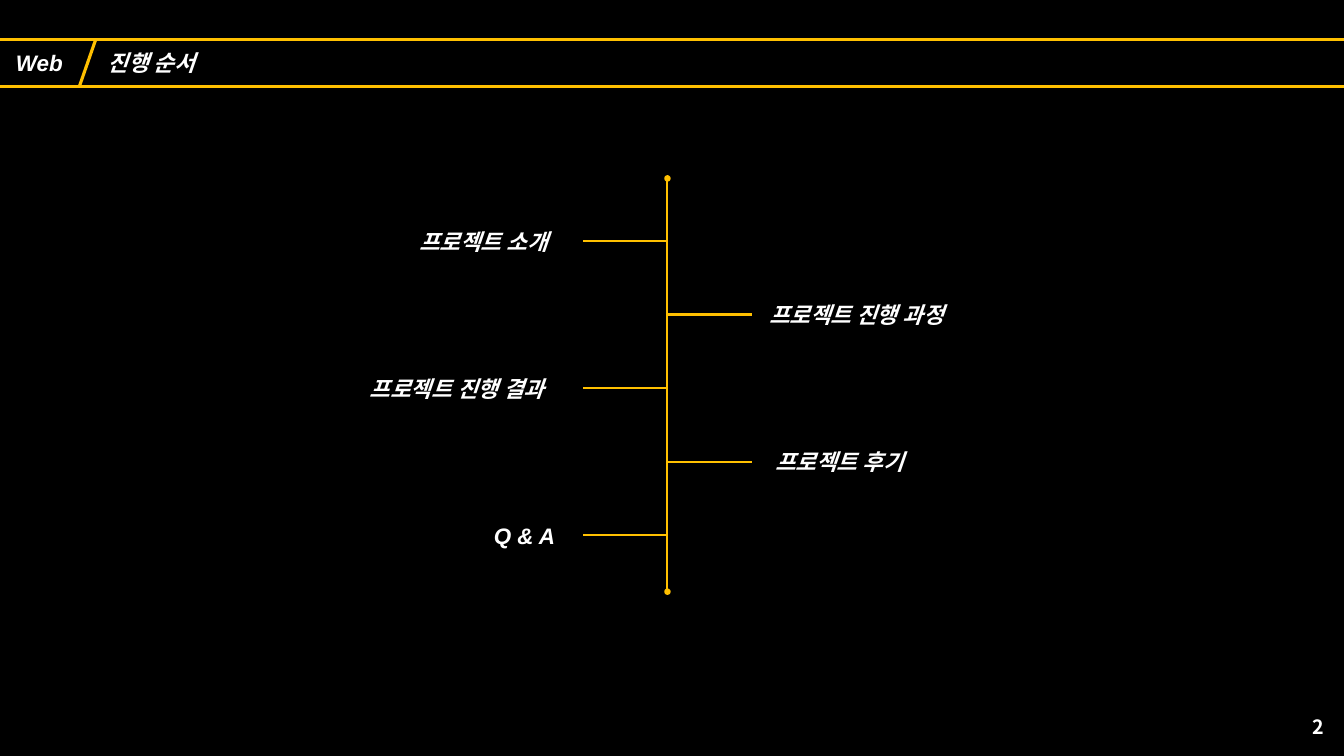
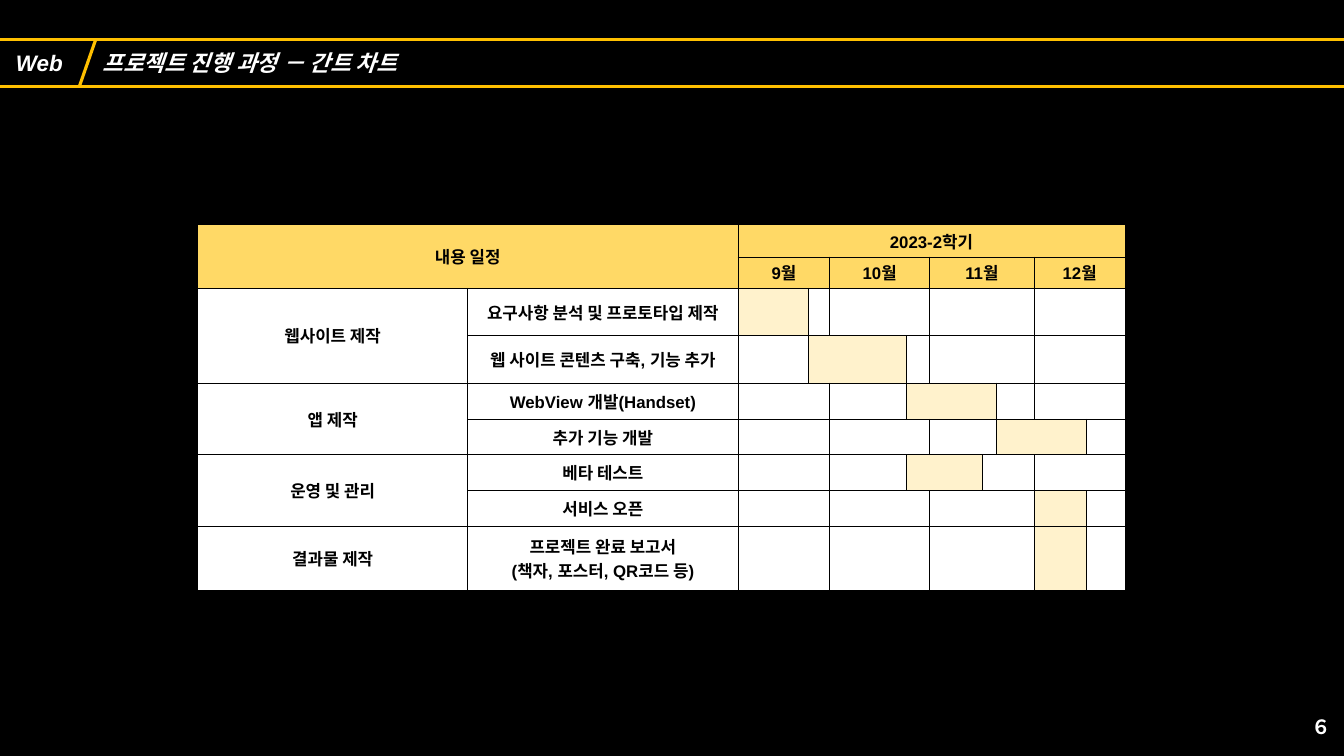
from dataclasses import dataclass
from itertools import pairwise

from pptx import Presentation
from pptx.dml.color import RGBColor
from pptx.enum.shapes import MSO_CONNECTOR, MSO_SHAPE
from pptx.enum.text import MSO_ANCHOR, MSO_AUTO_SIZE, PP_ALIGN
from pptx.oxml import parse_xml
from pptx.oxml.ns import nsdecls
from pptx.util import Inches, Pt

STRAIGHT = MSO_CONNECTOR.STRAIGHT
RECTANGLE, OVAL = MSO_SHAPE.RECTANGLE, MSO_SHAPE.OVAL
MIDDLE = MSO_ANCHOR.MIDDLE
LEFT, CENTER = PP_ALIGN.LEFT, PP_ALIGN.CENTER
GROW = MSO_AUTO_SIZE.SHAPE_TO_FIT_TEXT


@dataclass(frozen=True)
class Theme:
    black: str = "000000"
    white: str = "FFFFFF"
    gold: str = "FFC000"
    header: str = "FFD966"
    bar: str = "FFF2CC"
    font: str = "Arial"
    number_font: str = "Noto Sans CJK KR"
    title_size: int = 16
    number_size: int = 14
    table_size: int = 12
    band_line: float = 2.25
    tree_line: float = 1.5
    cell_line: float = 0.5


THEME = Theme()

# Agenda: label, left and width of its text; sides alternate, left first
AGENDA = [
    ("프로젝트 소개", 4.06, 1.61),
    ("프로젝트 진행 과정", 7.53, 2.12),
    ("프로젝트 진행 결과", 3.57, 2.12),
    ("프로젝트 후기", 7.59, 1.61),
    ("Q & A", 4.8, 0.82),
]
SPINE_X, SPINE_TOP, SPINE_BOTTOM = 6.62, 1.77, 5.87
BRANCH_TOP, BRANCH_STEP, BRANCH_LENGTH = 2.39, 0.73, 0.84

# Schedule: bars and months are given in steps of the time columns
COLUMN_WIDTHS = [2.68, 2.68, 0.7, 0.21, 0.76, 0.23, 0.52, 0.14, 0.38, 0.52, 0.38]
ROW_HEIGHTS = [0.32, 0.31, 0.47, 0.47, 0.36, 0.35, 0.36, 0.35, 0.64]
FIRST_TIME_COLUMN = 2
MONTHS = ["9월", "10월", "11월", "12월"]
MONTH_EDGES = [0, 2, 4, 7, 9]
PHASES = [
    ("웹사이트 제작", [("요구사항 분석 및 프로토타입 제작", 0, 1),
                 ("웹 사이트 콘텐츠 구축, 기능 추가", 1, 3)]),
    ("앱 제작", [("WebView 개발(Handset)", 3, 6), ("추가 기능 개발", 6, 8)]),
    ("운영 및 관리", [("베타 테스트", 3, 5), ("서비스 오픈", 7, 8)]),
    ("결과물 제작", [("프로젝트 완료 보고서\n(책자, 포스터, QR코드 등)", 7, 8)]),
]


def rgb(color):
    return RGBColor.from_string(color)


def style_font(font, size, color, name=THEME.font, italic=False):
    font.name, font.size, font.bold, font.italic = name, Pt(size), True, italic
    font.color.rgb = rgb(color)


def add_label(slide, text, left, top, width, height=0.37, align=LEFT,
              size=THEME.title_size, name=THEME.font, italic=True):
    frame = slide.shapes.add_textbox(
        Inches(left), Inches(top), Inches(width), Inches(height)).text_frame
    frame.word_wrap = False
    frame.auto_size = GROW
    line = frame.paragraphs[0]
    line.text, line.alignment = text, align
    style_font(line.font, size, THEME.white, name, italic)


def add_line(slide, x1, y1, x2, y2, weight):
    line = slide.shapes.add_connector(
        STRAIGHT, Inches(x1), Inches(y1), Inches(x2), Inches(y2))
    line.line.color.rgb = rgb(THEME.gold)
    line.line.width = Pt(weight)
    line._element.spPr.append(parse_xml(f"<a:effectLst {nsdecls('a')}/>"))


def add_block(slide, preset, left, top, width, height, fill, weight):
    block = slide.shapes.add_shape(
        preset, Inches(left), Inches(top), Inches(width), Inches(height))
    block.shadow.inherit = False
    block.fill.solid()
    block.fill.fore_color.rgb = rgb(fill)
    block.line.color.rgb = rgb(THEME.gold)
    block.line.width = Pt(weight)


def add_page(prs, title, title_left, title_width, number, number_width):
    """Blank slide with the title band and the page number."""
    slide = prs.slides.add_slide(prs.slide_layouts[6])
    add_block(slide, RECTANGLE, -0.15, 0.39, 13.58, 0.47, THEME.black, THEME.band_line)
    add_label(slide, "Web", 0.06, 0.44, 0.67)
    add_line(slide, 0.95, 0.39, 0.79, 0.85, THEME.band_line)
    add_label(slide, title, title_left, 0.44, title_width)
    add_label(slide, number, 12.91, 7.04, number_width, 0.34, CENTER,
              THEME.number_size, THEME.number_font, italic=False)
    return slide


def add_agenda(slide):
    # Spine with a dot at each end
    add_line(slide, SPINE_X, SPINE_TOP, SPINE_X, SPINE_BOTTOM, THEME.tree_line)
    dot = 0.05
    for y in (SPINE_TOP, SPINE_BOTTOM):
        add_block(slide, OVAL, SPINE_X - dot / 2, y - dot / 2, dot, dot, THEME.gold, 1)

    # Branches
    for index, (label, left, width) in enumerate(AGENDA):
        y = BRANCH_TOP + index * BRANCH_STEP
        side = 1 if index % 2 else -1
        add_line(slide, SPINE_X, y, SPINE_X + side * BRANCH_LENGTH, y, THEME.tree_line)
        add_label(slide, label, left, y - 0.18, width)


def style_cell(cell):
    """Margins, type and thin black borders of every cell."""
    cell.margin_left = cell.margin_right = Inches(0.04)
    cell.margin_top = cell.margin_bottom = Inches(0.01)
    cell.vertical_anchor = MIDDLE
    for paragraph in cell.text_frame.paragraphs:
        paragraph.alignment = CENTER
        style_font(paragraph.font, THEME.table_size, THEME.black)
    properties = cell._tc.get_or_add_tcPr()
    for position, edge in enumerate(("lnL", "lnR", "lnT", "lnB")):
        properties.insert(position, parse_xml(
            f'<a:{edge} {nsdecls("a")} w="{Pt(THEME.cell_line)}"><a:solidFill>'
            f'<a:srgbClr val="{THEME.black}"/></a:solidFill></a:{edge}>'))


def fill_cell(table, row, column, text="", fill=THEME.white, rows=1, columns=1):
    cell = table.cell(row, column)
    if rows * columns > 1:
        cell.merge(table.cell(row + rows - 1, column + columns - 1))
    cell.text = text
    cell.fill.solid()
    cell.fill.fore_color.rgb = rgb(fill)


def fill_time_row(table, row, start, end):
    """Month cells of one task, cut where its bar starts and ends."""
    outside = {edge for edge in MONTH_EDGES if not start < edge < end}
    for left, right in pairwise(sorted(outside | {start, end})):
        fill_cell(table, row, FIRST_TIME_COLUMN + left, columns=right - left,
                  fill=THEME.bar if left == start else THEME.white)


def add_schedule(slide):
    table = slide.shapes.add_table(
        len(ROW_HEIGHTS), len(COLUMN_WIDTHS), Inches(1.96), Inches(2.23),
        Inches(sum(COLUMN_WIDTHS)), Inches(sum(ROW_HEIGHTS))).table
    table.first_row = table.horz_banding = False
    for column, width in zip(table.columns, COLUMN_WIDTHS):
        column.width = Inches(width)
    for table_row, height in zip(table.rows, ROW_HEIGHTS):
        table_row.height = Inches(height)

    # Heading rows
    fill_cell(table, 0, 0, "내용 일정", THEME.header, rows=2, columns=2)
    fill_cell(table, 0, FIRST_TIME_COLUMN, "2023-2학기", THEME.header,
              columns=MONTH_EDGES[-1])
    for month, (left, right) in zip(MONTHS, pairwise(MONTH_EDGES)):
        fill_cell(table, 1, FIRST_TIME_COLUMN + left, month, THEME.header,
                  columns=right - left)

    # Phases and their tasks
    row = 2
    for phase, tasks in PHASES:
        fill_cell(table, row, 0, phase, rows=len(tasks))
        for task, start, end in tasks:
            fill_cell(table, row, 1, task)
            fill_time_row(table, row, start, end)
            row += 1

    for cell in table.iter_cells():
        style_cell(cell)


def main():
    prs = Presentation()
    prs.slide_width, prs.slide_height = Inches(13.33), Inches(7.5)
    backdrop = prs.slide_master.background.fill
    backdrop.solid()
    backdrop.fore_color.rgb = rgb(THEME.black)

    add_agenda(add_page(prs, "진행 순서", 0.97, 1.16, "2", 0.32))
    add_schedule(add_page(prs, "프로젝트 진행 과정 － 간트 차트", 0.92, 3.51, "６", 0.4))
    prs.save("out.pptx")


if __name__ == "__main__":
    main()
